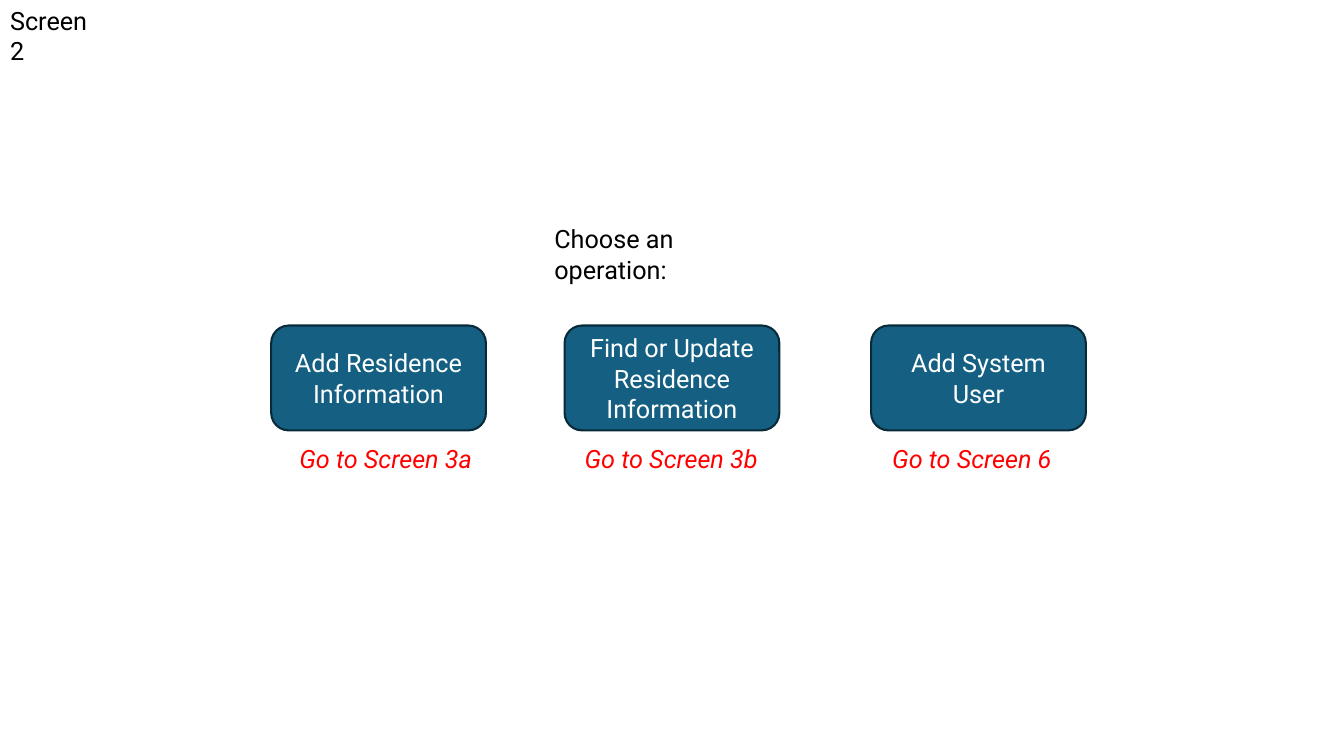
from dataclasses import dataclass

from pptx import Presentation
from pptx.dml.color import RGBColor
from pptx.enum.shapes import MSO_SHAPE as Preset
from pptx.enum.text import MSO_ANCHOR as Anchor
from pptx.enum.text import MSO_AUTO_SIZE as AutoSize
from pptx.enum.text import PP_ALIGN as Align
from pptx.shapes.base import BaseShape
from pptx.slide import Slide
from pptx.util import Inches, Pt

BLACK = RGBColor(0x00, 0x00, 0x00)
WHITE = RGBColor(0xFF, 0xFF, 0xFF)
RED = RGBColor(0xFF, 0x00, 0x00)
TEAL = RGBColor(0x15, 0x60, 0x82)
DARK_TEAL = RGBColor(0x09, 0x2A, 0x39)

BUTTON_TOP, BUTTON_WIDTH, BUTTON_HEIGHT = 3.23, 2.13, 1.04
NOTE_TOP, LINE_HEIGHT = 4.35, 0.4


@dataclass(frozen=True)
class Operation:
    label: str
    left: float
    note: str
    note_left: float
    note_width: float


OPERATIONS = [
    Operation("Add Residence Information", 2.69, "Go to Screen 3a", 2.87, 1.92),
    Operation("Find or Update Residence Information", 5.6, "Go to Screen 3b", 5.7, 1.93),
    Operation("Add System User", 8.64, "Go to Screen 6", 8.75, 1.78),
]


def write(box: BaseShape, text: str, color: RGBColor, align: Align = Align.LEFT,
          anchor: Anchor = Anchor.TOP, italic: bool = False, wrap: bool = True) -> None:
    frame = box.text_frame
    frame.word_wrap = wrap
    frame.vertical_anchor = anchor
    para = frame.paragraphs[0]
    para.alignment = align
    span = para.add_run()
    span.text = text
    span.font.name = "Roboto"
    span.font.size = Pt(18)
    span.font.italic = italic
    span.font.color.rgb = color


def add_label(page: Slide, text: str, left: float, top: float, width: float,
              color: RGBColor, italic: bool = False, wrap: bool = True) -> None:
    box = page.shapes.add_textbox(Inches(left), Inches(top), Inches(width), Inches(LINE_HEIGHT))
    write(box, text, color, italic=italic, wrap=wrap)
    box.text_frame.auto_size = AutoSize.SHAPE_TO_FIT_TEXT


def add_operation(page: Slide, operation: Operation) -> None:
    """Draw a button with the note on its target screen below it."""
    button = page.shapes.add_shape(
        Preset.ROUNDED_RECTANGLE, Inches(operation.left), Inches(BUTTON_TOP),
        Inches(BUTTON_WIDTH), Inches(BUTTON_HEIGHT))
    button.shadow.inherit = False
    button.fill.solid()
    button.fill.fore_color.rgb = TEAL
    button.line.color.rgb = DARK_TEAL
    button.line.width = Pt(1.5)
    write(button, operation.label, WHITE, Align.CENTER, Anchor.MIDDLE)
    add_label(page, operation.note, operation.note_left, NOTE_TOP,
              operation.note_width, RED, italic=True, wrap=False)


def set_title(page: Slide, text: str) -> None:
    title = page.shapes.title
    title.left, title.top = Inches(0), Inches(0)
    title.width, title.height = Inches(1.15), Inches(LINE_HEIGHT)
    write(title, text, BLACK)
    title.text_frame.auto_size = AutoSize.SHAPE_TO_FIT_TEXT


def main() -> None:
    deck = Presentation()
    deck.slide_width, deck.slide_height = Inches(13.33), Inches(7.5)
    page = deck.slides.add_slide(deck.slide_layouts.get_by_name("Title Only"))
    set_title(page, "Screen 2")
    add_label(page, "Choose an operation:", 5.4, 2.17, 2.54, BLACK)
    for operation in OPERATIONS:
        add_operation(page, operation)
    deck.save("out.pptx")


if __name__ == "__main__":
    main()
